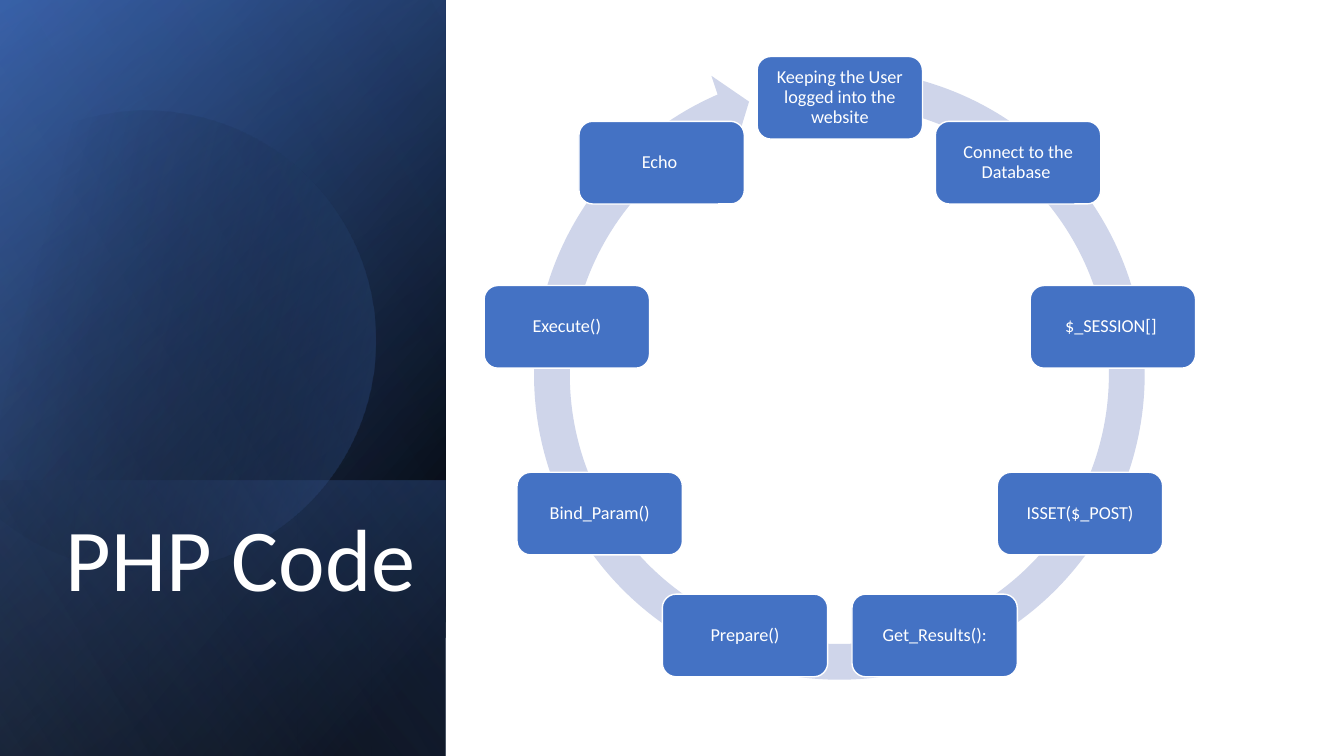
import math
from dataclasses import dataclass

import lxml.etree
import pptx
import pptx.dml.color
import pptx.enum.shapes
import pptx.enum.text
import pptx.oxml.ns
import pptx.util

Inches = pptx.util.Inches
Pt = pptx.util.Pt
RGB = pptx.dml.color.RGBColor.from_string
qn = pptx.oxml.ns.qn
SHAPE = pptx.enum.shapes.MSO_SHAPE
ALIGN = pptx.enum.text.PP_ALIGN
ANCHOR = pptx.enum.text.MSO_ANCHOR


@dataclass(frozen=True)
class Theme:
    font: str = "Calibri"
    title_size: int = 63
    step_size: int = 13
    white: str = "FFFFFF"
    black: str = "000000"
    blue: str = "4472C4"
    deep_blue: str = "2F5597"
    soft_blue: str = "8FAADC"
    ring: str = "CFD5EA"


theme = Theme()


def paint_gradient(shape, stops, angle):
    """Stops are (position %, colour, opacity %)."""
    shape.shadow.inherit = False
    shape.line.fill.background()
    shape.fill.gradient()
    gradient = shape.element.spPr.find(qn("a:gradFill"))
    for child in list(gradient):
        gradient.remove(child)
    gradient.set("rotWithShape", "1")
    stop_list = lxml.etree.SubElement(gradient, qn("a:gsLst"))
    for position, colour, opacity in stops:
        stop = lxml.etree.SubElement(stop_list, qn("a:gs"), pos=str(position * 1000))
        tint = lxml.etree.SubElement(stop, qn("a:srgbClr"), val=colour)
        if opacity < 100:
            lxml.etree.SubElement(tint, qn("a:alpha"), val=str(opacity * 1000))
    lxml.etree.SubElement(gradient, qn("a:lin"), ang=str(angle * 60000), scaled="0")


def write_text(shape, text, size, align, anchor, insets):
    frame = shape.text_frame
    frame.word_wrap = True
    frame.vertical_anchor = anchor
    (frame.margin_left, frame.margin_top,
     frame.margin_right, frame.margin_bottom) = [Inches(inset) for inset in insets]
    paragraph = frame.paragraphs[0]
    paragraph.text = text
    paragraph.alignment = align
    paragraph.line_spacing = 0.9
    paragraph.font.name = theme.font
    paragraph.font.size = Pt(size)
    paragraph.font.color.rgb = RGB(theme.white)


deck = pptx.Presentation()
deck.slide_width = Inches(13.33)
deck.slide_height = Inches(7.5)
slide = deck.slides.add_slide(deck.slide_layouts[6])
shapes = slide.shapes

# Side panel: layered gradients, with a tilted disc below the last one
panel = (-1.54, 1.54, 7.5, 4.42)
panel_layers = [
    (panel, [(8, theme.black, 100), (100, theme.deep_blue, 100)], 50),
    (panel, [(0, theme.black, 0), (99, theme.blue, 46)], 30),
    ((0.84, 3.93, 2.74, 4.42), [(2, theme.blue, 29), (100, theme.black, 30)], 130),
    (panel, [(0, theme.black, 0), (99, theme.soft_blue, 11)], 120),
]
for index, (box, stops, angle) in enumerate(panel_layers):
    if index == len(panel_layers) - 1:
        disc_x, disc_y, disc_radius = 1.44, 3.34, 2.28
        rim_angles = [-118, -90, 0, 90, 150]
        rim = [(Inches(disc_x + disc_radius * math.cos(math.radians(degree))),
                Inches(disc_y + disc_radius * math.sin(math.radians(degree))))
               for degree in rim_angles]
        outline = shapes.build_freeform(*rim[0])
        outline.add_line_segments(rim[1:], close=True)
        disc = outline.convert_to_shape()
        # Bend the rim segments into arcs; the closing chord stays straight
        segments = list(disc.element.spPr.iter(qn("a:lnTo")))
        for segment, start, end in zip(segments, rim_angles, rim_angles[1:]):
            arc = lxml.etree.Element(
                qn("a:arcTo"), wR=str(Inches(disc_radius)), hR=str(Inches(disc_radius)),
                stAng=str(start % 360 * 60000), swAng=str((end - start) * 60000))
            segment.getparent().replace(segment, arc)
        disc.rotation = 343.9
        paint_gradient(disc, [(29, theme.black, 0), (100, theme.blue, 43)], 30)
    layer = shapes.add_shape(SHAPE.RECTANGLE, *[Inches(length) for length in box])
    layer.rotation = 90
    layer.element.spPr.xfrm.set("flipH", "1")
    paint_gradient(layer, stops, angle)

# Title
title = shapes.add_textbox(Inches(0), Inches(0.83), Inches(4.42), Inches(6.31))
write_text(title, "PHP Code ", theme.title_size, ALIGN.RIGHT, ANCHOR.BOTTOM,
           (0.1, 0.05, 0.1, 1.08))

# Ring arrow behind the steps
cycle = shapes.add_group_shape().shapes
ring = cycle.add_shape(SHAPE.CIRCULAR_ARROW, Inches(5.1), Inches(0.49),
                       Inches(6.45), Inches(6.45))
ring.shadow.inherit = False
ring.fill.solid()
ring.fill.fore_color.rgb = RGB(theme.ring)
ring.line.fill.background()
for index, percent in enumerate([5.5, 330.7, 14770.6, 16805.7, 5.8]):
    ring.adjustments[index] = percent / 100

# Steps, clockwise from the top at equal angles
steps = [
    "Keeping the User logged into the website",
    "Connect to the Database ",
    "$_SESSION[] ",
    "ISSET($_POST)",
    "Get_Results():",
    "Prepare()",
    "Bind_Param()",
    "Execute()",
    "Echo ",
]
cycle_x, cycle_y, cycle_radius = 8.33, 3.72, 2.75
step_width, step_height = 1.64, 0.82
for index, label in enumerate(steps):
    turn = 2 * math.pi * index / len(steps)
    step = cycle.add_shape(
        SHAPE.ROUNDED_RECTANGLE,
        Inches(cycle_x + cycle_radius * math.sin(turn) - step_width / 2),
        Inches(cycle_y - cycle_radius * math.cos(turn) - step_height / 2),
        Inches(step_width), Inches(step_height))
    step.shadow.inherit = False
    step.fill.solid()
    step.fill.fore_color.rgb = RGB(theme.blue)
    step.line.color.rgb = RGB(theme.white)
    step.line.width = Pt(1)
    write_text(step, label, theme.step_size, ALIGN.CENTER, ANCHOR.MIDDLE, (0.09,) * 4)

deck.save("out.pptx")
